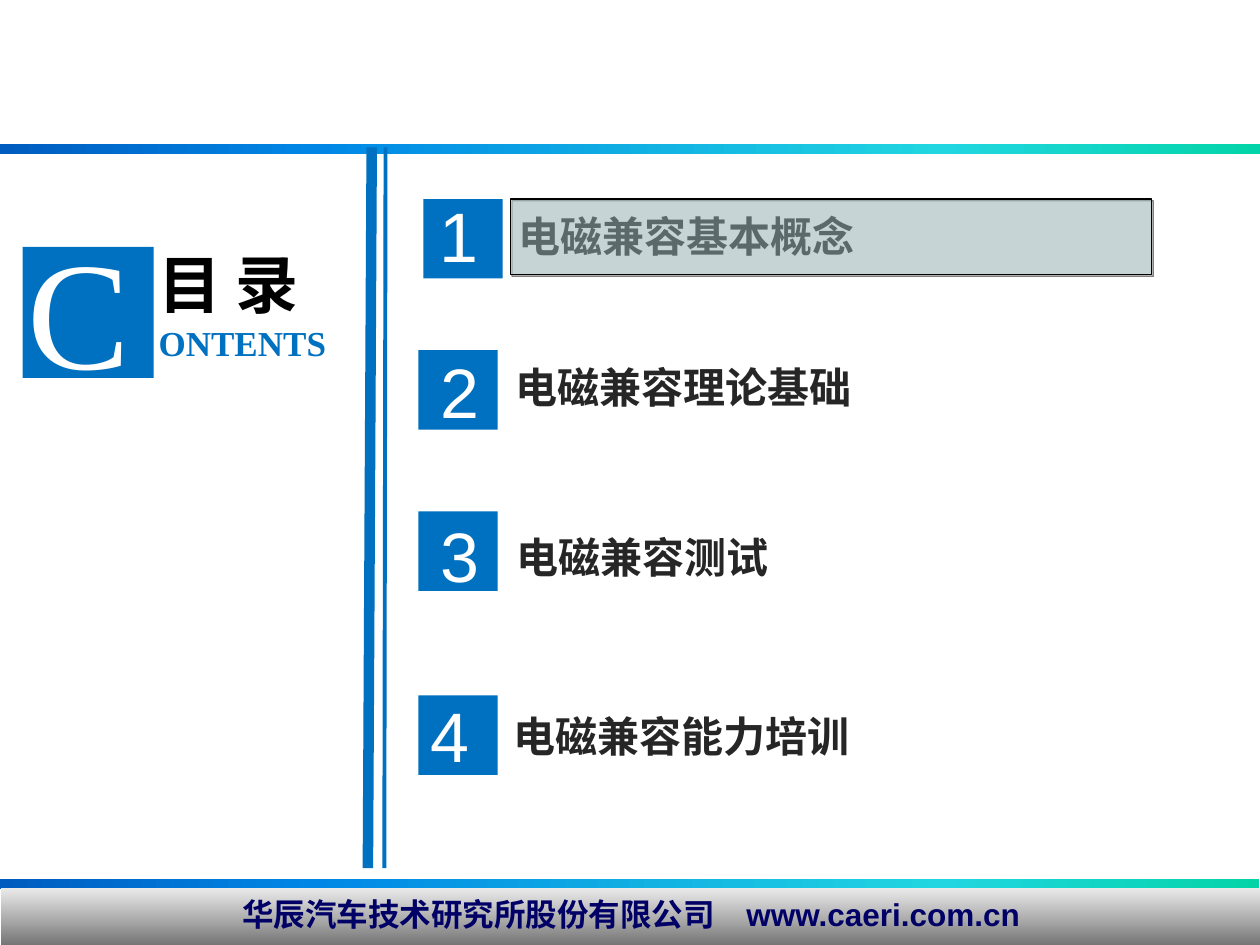
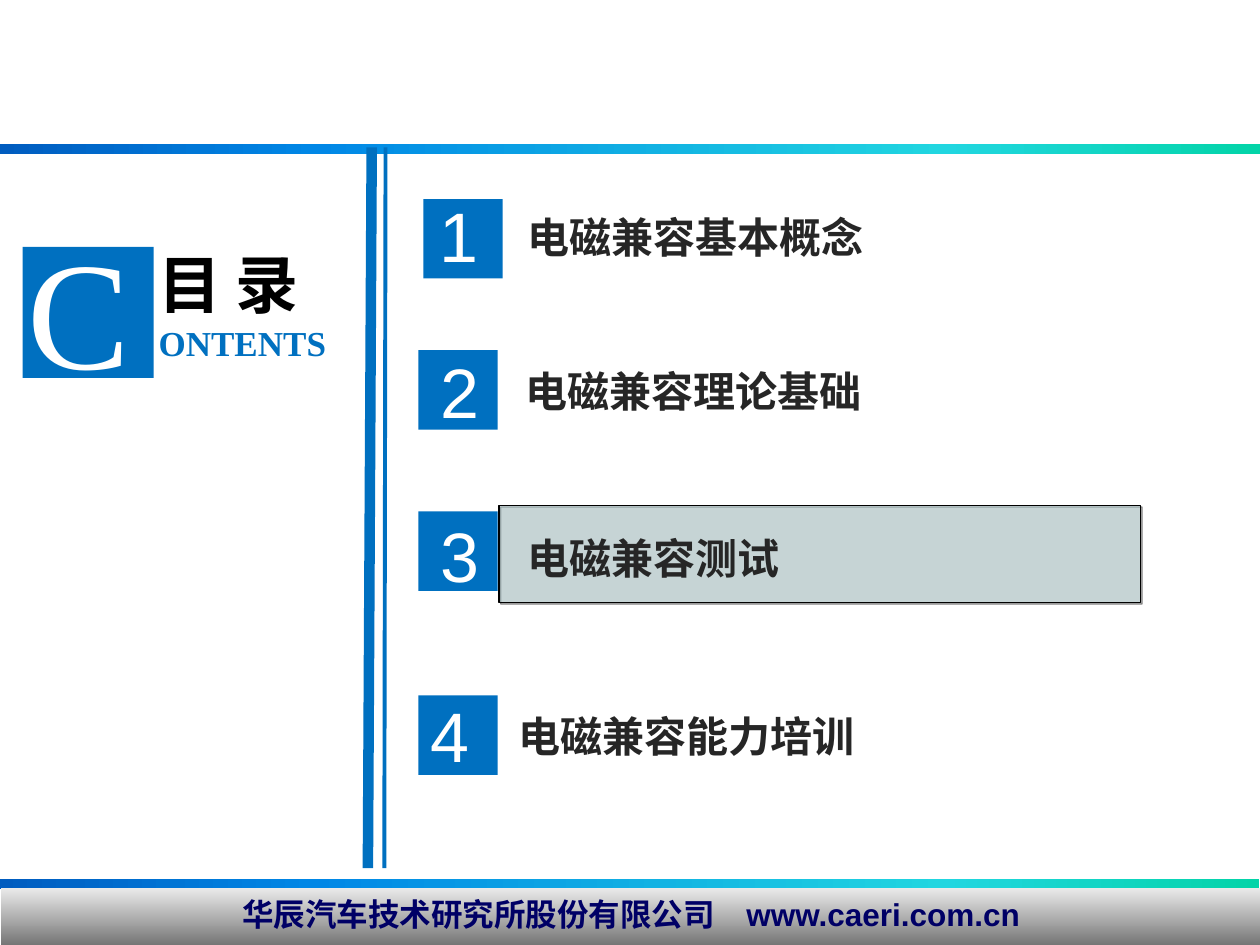
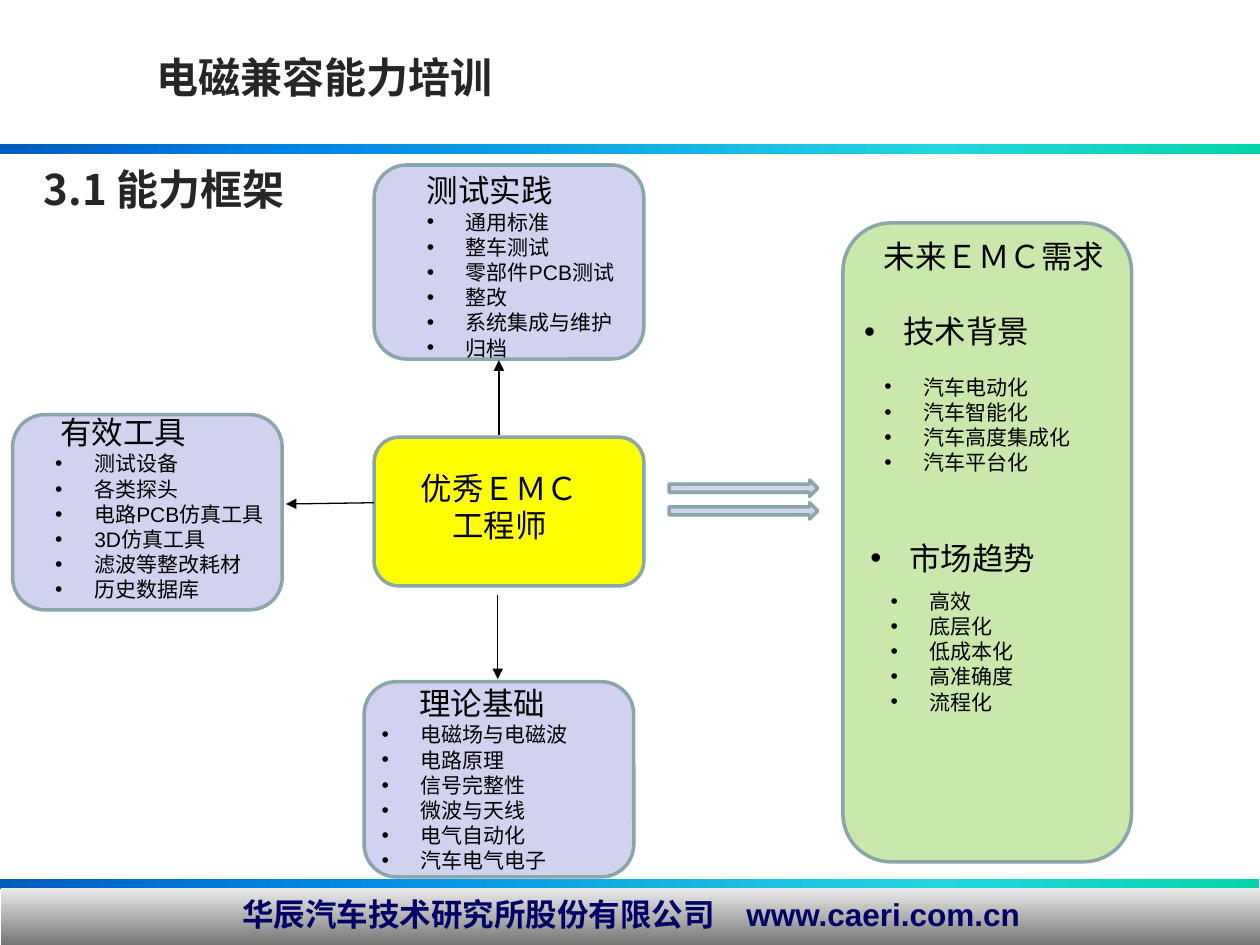
"""Build two contents slides and one capability framework slide."""
import pptx
import pptx.dml.color
import pptx.enum.shapes
import pptx.enum.text
import pptx.oxml
import pptx.oxml.ns
import pptx.util
from lxml import etree

RGB = pptx.dml.color.RGBColor
SHAPE = pptx.enum.shapes.MSO_SHAPE
CENTER = pptx.enum.text.PP_ALIGN.CENTER
STRAIGHT = pptx.enum.shapes.MSO_CONNECTOR.STRAIGHT
qn = pptx.oxml.ns.qn
PX = 9144

BLUE = RGB(0x00, 0x70, 0xC0)
NAVY = RGB(0x00, 0x00, 0x66)
BLACK = RGB(0x00, 0x00, 0x00)
WHITE = RGB(0xFF, 0xFF, 0xFF)
CHARCOAL = RGB(0x26, 0x26, 0x26)
PALE_TEAL = RGB(0xBB, 0xE0, 0xE3)
LILAC = RGB(0xD1, 0xD1, 0xF0)
YELLOW = RGB(0xFF, 0xFF, 0x00)
GREEN = RGB(0x92, 0xD0, 0x50)
BORDER = RGB(0x8A, 0xA6, 0xA8)
BAND = [(0, RGB(0x00, 0x5C, 0xBF)), (25, RGB(0x00, 0x87, 0xE6)),
        (75, RGB(0x21, 0xD6, 0xE0)), (100, RGB(0x03, 0xD4, 0xA8))]
METAL = [(0, RGB(0xEA, 0xEA, 0xEA)), (100, RGB(0x6C, 0x6C, 0x6C))]
SANS, CJK, SERIF = "Arial", "Noto Sans CJK SC", "Times New Roman"


def add_shape(s, kind, box, fill, line=None, width=2, alpha=100):
    sp = s.shapes.add_shape(kind, *[v * PX for v in box])
    sp.shadow.inherit = False
    sp.fill.solid()
    sp.fill.fore_color.rgb = fill
    if alpha < 100:
        color = sp._element.spPr.find(qn("a:solidFill"))[0]
        etree.SubElement(color, qn("a:alpha"), val=str(alpha * 1000))
    if line is None:
        sp.line.fill.background()
    else:
        sp.line.color.rgb = line
        sp.line.width = pptx.util.Pt(width)
    return sp


def add_text(s, box, lines, size, color=BLACK, font=SANS, bold=False, align=None):
    tf = s.shapes.add_textbox(*[v * PX for v in box]).text_frame
    tf.word_wrap = True
    tf.text = "\n".join(lines)
    for p in tf.paragraphs:
        p.alignment = align
        for r in p.runs:
            r.font.size = pptx.util.Pt(size)
            r.font.bold = bold
            r.font.name = font
            r.font.color.rgb = color
            etree.SubElement(r.font._element, qn("a:ea"), typeface=CJK)
    return tf


prs = pptx.Presentation()
prs.slide_width = 1000 * PX
prs.slide_height = 750 * PX

for _ in range(3):
    s = prs.slides.add_slide(prs.slide_layouts[6])
    for box, stops, angle in [((-1, 698, 1000, 8), BAND, 0),
                              ((0, 114, 1000, 8), BAND, 0),
                              ((1, 705, 1000, 49), METAL, 270)]:
        sp = add_shape(s, SHAPE.RECTANGLE, box, WHITE)
        sp.fill.gradient()
        sp.fill.gradient_angle = angle
        gs_list = sp._element.spPr.find(qn("a:gradFill")).find(qn("a:gsLst"))
        gs_list.clear()
        for pos, color in stops:
            gs = etree.SubElement(gs_list, qn("a:gs"), pos=str(pos * 1000))
            etree.SubElement(gs, qn("a:srgbClr"), val=str(color))
    add_text(s, (1, 705, 1000, 49), ["华辰汽车技术研究所股份有限公司　www.caeri.com.cn"],
             18, NAVY, bold=True, align=CENTER)

chapters = ["电磁兼容基本概念", "电磁兼容理论基础", "电磁兼容测试", "电磁兼容能力培训"]
squares = [(336, 158), (332, 278), (332, 406), (332, 552)]
digits = [(339, 148), (340, 272), (340, 402), (332, 545)]
contents = [
    ([(402, 162), (399, 282), (400, 417), (398, 559)], 0, (405, 158, 509, 60)),
    ([(409, 163), (407, 285), (409, 418), (402, 559)], 2, (396, 401, 509, 77)),
]
for s, (places, current, bar) in zip(prs.slides, contents):
    add_shape(s, SHAPE.RECTANGLE, (18, 196, 104, 104), BLUE)
    add_text(s, (12, 166, 129, 158), ["C"], 88, WHITE, SERIF)
    add_text(s, (116, 250, 171, 44), ["ONTENTS"], 20, BLUE, SERIF, True)
    add_text(s, (116, 190, 168, 70), ["目 录"], 36, BLACK, CJK, True)
    for top_x, bottom_x, width in [(295, 292, 6), (306, 305, 2.25)]:
        rule = s.shapes.add_connector(STRAIGHT, top_x * PX, 117 * PX, bottom_x * PX, 689 * PX)
        rule.line.color.rgb = BLUE
        rule.line.width = pptx.util.Pt(width)
        etree.SubElement(rule._element.spPr, qn("a:effectLst"))
    if current == 0:
        add_text(s, (*places[0], 496, 51), [chapters[0]], 24, CHARCOAL, CJK, True)
    highlight = add_shape(s, SHAPE.RECTANGLE, bar, PALE_TEAL, BLACK, 0.75, 39)
    effects = highlight._element.spPr.find(qn("a:effectLst"))
    shadow = etree.SubElement(effects, qn("a:outerShdw"), dist="17961", dir="2700000")
    color = etree.SubElement(shadow, qn("a:srgbClr"), val=str(BLACK))
    etree.SubElement(color, qn("a:alpha"), val="50000")
    for i, chapter in enumerate(chapters):
        add_shape(s, SHAPE.RECTANGLE, (*squares[i], 63, 63), BLUE)
        add_text(s, (*digits[i], 80, 77), [str(i + 1)], 40, WHITE)
        if i > 0 or current > 0:
            add_text(s, (*places[i], 496, 51), [chapter], 24, CHARCOAL, CJK, True)

s = prs.slides[2]
add_text(s, (114, 36, 562, 51), ["电磁兼容能力培训"], 24, CHARCOAL, CJK, True)
add_text(s, (25, 125, 562, 51), ["3.1 能力框架"], 24, CHARCOAL, CJK, True)

for kind, box, fill, alpha in [
    (SHAPE.ROUNDED_RECTANGLE, (297, 347, 214, 118), YELLOW, 100),
    (SHAPE.ROUNDED_RECTANGLE, (289, 541, 214, 155), LILAC, 100),
    (SHAPE.ROUNDED_RECTANGLE, (297, 131, 214, 154), LILAC, 100),
    (SHAPE.ROUNDED_RECTANGLE, (10, 329, 214, 155), LILAC, 100),
    (SHAPE.RIGHT_ARROW, (531, 381, 118, 13), LILAC, 100),
    (SHAPE.RIGHT_ARROW, (531, 399, 118, 13), LILAC, 100),
    (SHAPE.ROUNDED_RECTANGLE, (669, 177, 229, 507), GREEN, 48),
]:
    add_shape(s, kind, box, fill, BORDER, alpha=alpha)

for ends in [(396, 345, 396, 286), (297, 399, 227, 400), (395, 472, 395, 539)]:
    arrow = s.shapes.add_connector(STRAIGHT, *[v * PX for v in ends])
    arrow.line.color.rgb = BLACK
    arrow.line.width = pptx.util.Pt(0.75)
    etree.SubElement(arrow.line._get_or_add_ln(), qn("a:tailEnd"), type="triangle")
    etree.SubElement(arrow._element.spPr, qn("a:effectLst"))

add_text(s, (322, 367, 149, 71), ["优秀ＥＭＣ工程师"], 18, align=CENTER)
add_text(s, (680, 183, 218, 40), ["未来ＥＭＣ需求"], 18, align=CENTER)

for box, heading, heading_indent, size, items in [
    ((329, 131, 200, 182), "测试实践", 0, 12,
     ["通用标准", "整车测试", "零部件PCB测试", "整改", "系统集成与维护", "归档"]),
    ((293, 538, 227, 185), "理论基础", 30, 12,
     ["电磁场与电磁波", "电路原理", "信号完整性", "微波与天线", "电气自动化", "汽车电气电子"]),
    ((34, 323, 200, 162), "有效工具", 4, 12,
     ["测试设备", "各类探头", "电路PCB仿真工具", "3D仿真工具", "滤波等整改耗材", "历史数据库"]),
    ((676, 243, 200, 40), "", 0, 18, ["技术背景"]),
    ((692, 292, 227, 114), "", 0, 12, ["汽车电动化", "汽车智能化", "汽车高度集成化", "汽车平台化"]),
    ((681, 423, 200, 40), "", 0, 18, ["市场趋势"]),
    ((697, 462, 227, 135), "", 0, 12, ["高效", "底层化", "低成本化", "高准确度", "流程化"]),
]:
    tf = add_text(s, box, [heading] + items if heading else items, size)
    bulleted = list(tf.paragraphs)
    if heading:
        p = bulleted.pop(0)
        p.runs[0].font.size = pptx.util.Pt(18)
        p._p.get_or_add_pPr().set("marL", str(heading_indent * PX))
    for p in bulleted:
        pPr = p._p.get_or_add_pPr()
        pPr.set("marL", str(31 * PX))
        pPr.set("indent", str(-31 * PX))
        etree.SubElement(pPr, qn("a:buFont"), typeface=SANS)
        etree.SubElement(pPr, qn("a:buChar"), char="•")

prs.save("out.pptx")
